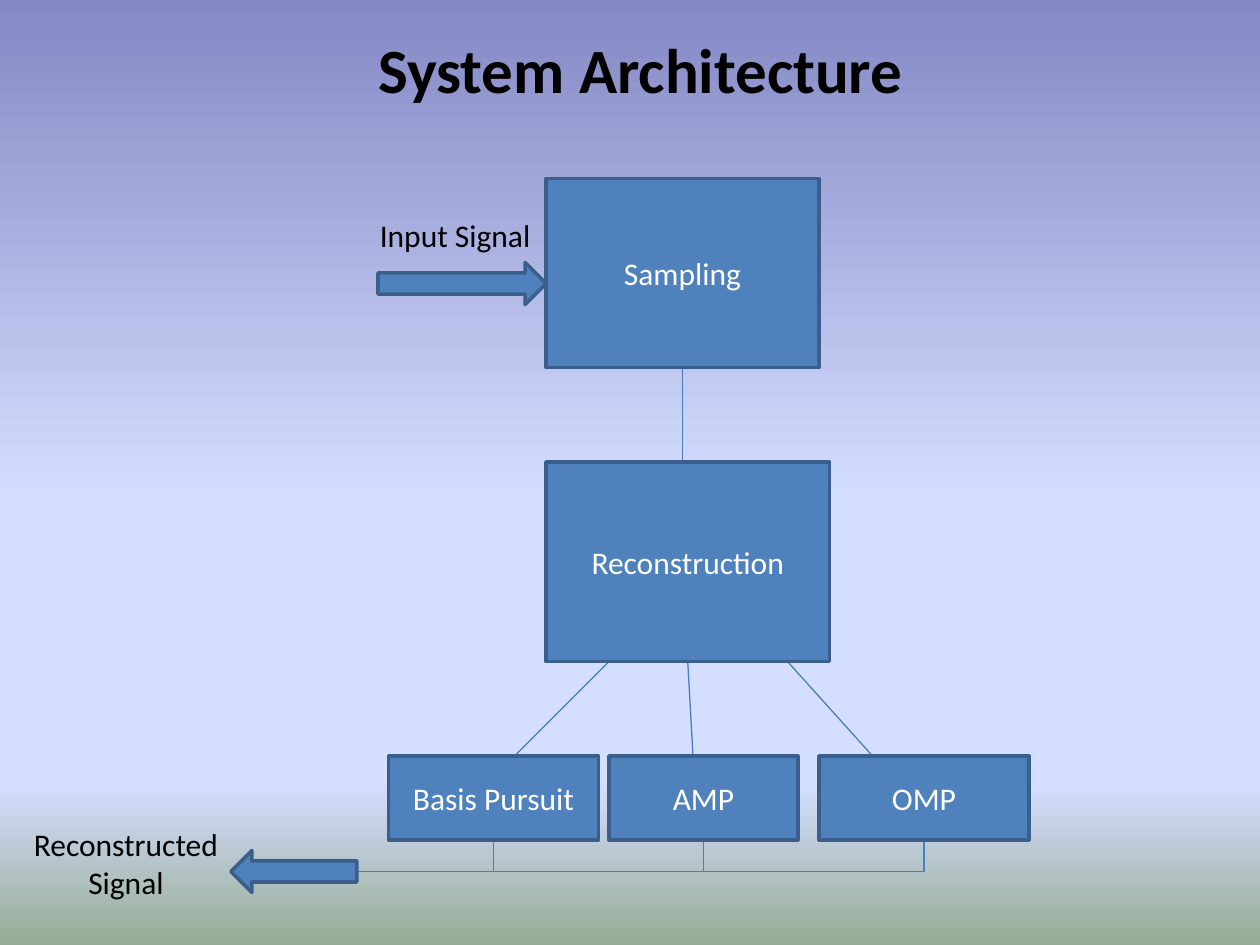
from lxml.etree import SubElement
from pptx import Presentation
from pptx.dml.color import RGBColor
from pptx.enum.shapes import MSO_CONNECTOR, MSO_SHAPE
from pptx.enum.text import MSO_ANCHOR, PP_ALIGN
from pptx.oxml import parse_xml
from pptx.oxml.ns import nsdecls, qn
from pptx.util import Pt


def color(hex_string):
    """Turn a hex string into a colour."""
    return RGBColor.from_string(hex_string)


def write(shape, lines, text_format, align=PP_ALIGN.CENTER, anchor=MSO_ANCHOR.MIDDLE):
    """Write one paragraph per line into a shape."""
    frame = shape.text_frame
    frame.word_wrap = True
    frame.vertical_anchor = anchor
    for index, line in enumerate(lines):
        para = frame.add_paragraph() if index else frame.paragraphs[0]
        para.alignment = align
        span = para.add_run()
        span.text = line
        for name, value in text_format.items():
            if name == "color":
                span.font.color.rgb = color(value)
            else:
                setattr(span.font, name, value)


LABEL = {"name": "Calibri", "size": Pt(18), "color": "000000"}
BOX_TEXT = {**LABEL, "color": "FFFFFF"}
TITLE = {**LABEL, "size": Pt(36), "bold": True}

deck = Presentation()
deck.slide_width, deck.slide_height = Pt(720), Pt(540)
page = deck.slides.add_slide(deck.slide_layouts[6])

# Background gradient, top to bottom
background = page.background.fill
background.gradient()
gradient = page.background._cSld.bg.bgPr.find(qn("a:gradFill"))
stops = [(0, "8488C4"), (53, "D4DEFF"), (83, "D4DEFF"), (100, "96AB94")]
stop_xml = "".join(
    f'<a:gs pos="{percent * 1000}"><a:srgbClr val="{tone}"/></a:gs>'
    for percent, tone in stops
)
gradient.getparent().replace(gradient, parse_xml(
    f'<a:gradFill {nsdecls("a")} rotWithShape="1"><a:gsLst>{stop_xml}</a:gsLst>'
    '<a:lin ang="5400000" scaled="0"/></a:gradFill>'
))

# Straight links between the stages, then elbows to the output arrow
links = [
    (390, 210, 390, 264),
    (348, 378, 294, 432),
    (393, 378, 396, 432),
    (450, 378, 504, 438),
]
connectors = [
    page.shapes.add_connector(MSO_CONNECTOR.STRAIGHT, *map(Pt, ends)) for ends in links
]
drop, middle = 18, 489
for end, start in [(138, 282), (282, 402), (402, 528)]:
    center, run = (start + end) / 2, start - end
    elbow = page.shapes.add_connector(
        MSO_CONNECTOR.ELBOW,
        Pt(center - drop / 2), Pt(middle - run / 2),
        Pt(center + drop / 2), Pt(middle + run / 2),
    )
    properties = elbow._element.spPr
    properties.find(qn("a:xfrm")).set("rot", "5400000")
    properties.find(qn("a:prstGeom")).set("prst", "bentConnector2")
    connectors.append(elbow)
for connector in connectors:
    connector.line.color.rgb = color("4B7EBC")
    connector.line.width = Pt(0.75)
    SubElement(connector._element.spPr, qn("a:effectLst"))

# Stage boxes and signal arrows
blocks = [
    (MSO_SHAPE.RECTANGLE, 312, 102, 156, 108, 0, "Sampling"),
    (MSO_SHAPE.RECTANGLE, 312, 264, 162, 114, 0, "Reconstruction"),
    (MSO_SHAPE.RECTANGLE, 222, 432, 120, 48, 0, "Basis Pursuit"),
    (MSO_SHAPE.RECTANGLE, 348, 432, 108, 48, 0, "AMP"),
    (MSO_SHAPE.RECTANGLE, 468, 432, 120, 48, 0, "OMP"),
    (MSO_SHAPE.LEFT_ARROW, 132, 486, 72, 24, 0, None),
    (MSO_SHAPE.LEFT_ARROW, 216, 150, 96, 24, 180, None),
]
for kind, left, top, width, height, turn, caption in blocks:
    box = page.shapes.add_shape(kind, Pt(left), Pt(top), Pt(width), Pt(height))
    box.shadow.inherit = False
    box.rotation = turn
    box.fill.solid()
    box.fill.fore_color.rgb = color("4F81BD")
    box.line.color.rgb = color("3A5F8C")
    box.line.width = Pt(2)
    if caption:
        write(box, [caption], BOX_TEXT)

# Title and signal labels
labels = [
    (42, 0, 648, 78, ["System Architecture"], TITLE, PP_ALIGN.CENTER, MSO_ANCHOR.MIDDLE),
    (210, 120, 108, 29, ["Input Signal"], LABEL, PP_ALIGN.LEFT, MSO_ANCHOR.TOP),
    (12, 468, 120, 51, ["Reconstructed", "Signal"], LABEL, PP_ALIGN.CENTER, MSO_ANCHOR.TOP),
]
for left, top, width, height, lines, text_format, align, anchor in labels:
    label = page.shapes.add_textbox(Pt(left), Pt(top), Pt(width), Pt(height))
    write(label, lines, text_format, align, anchor)

deck.save("out.pptx")
